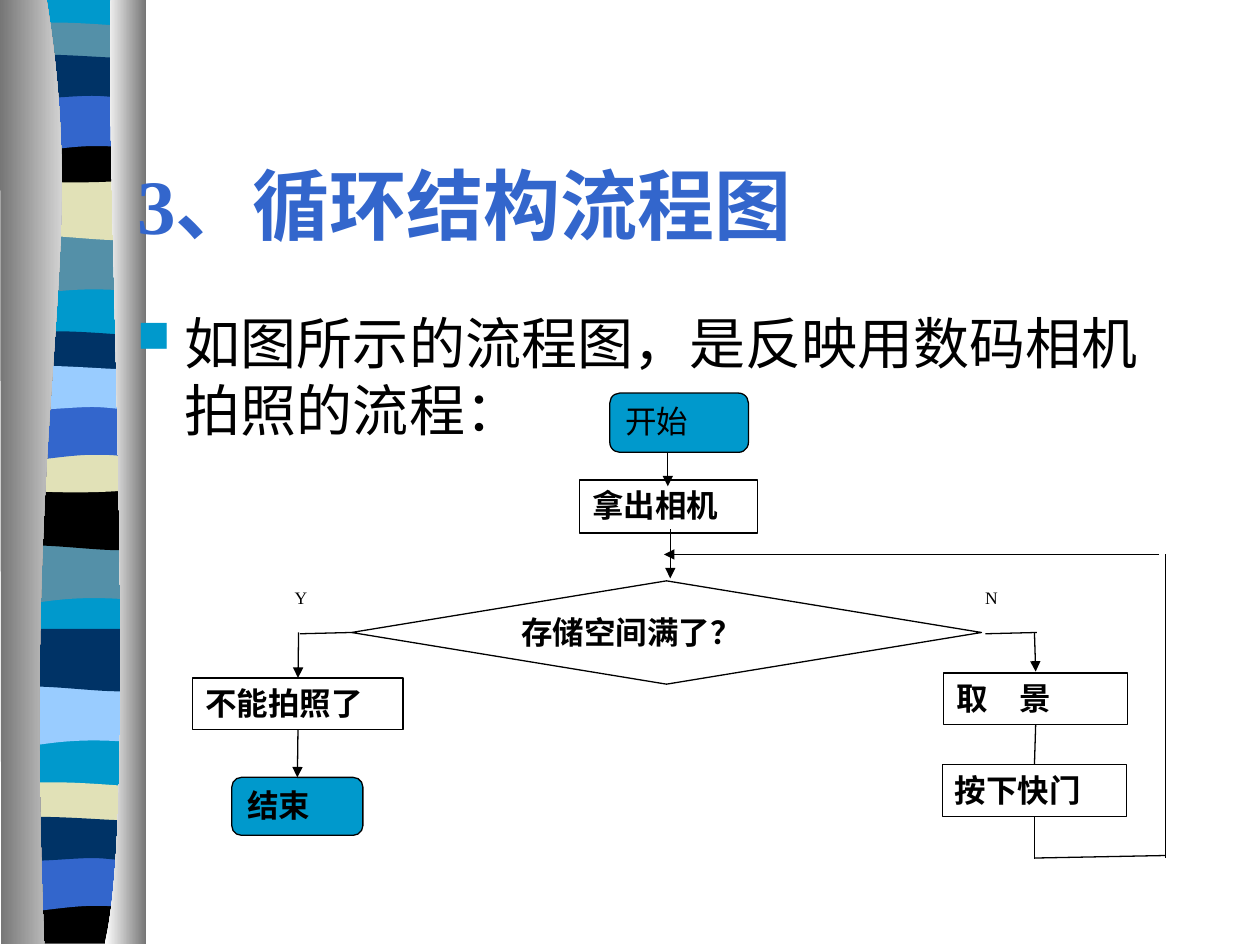
from dataclasses import dataclass

from lxml import etree
from pptx import Presentation
from pptx.dml.color import RGBColor
from pptx.enum.shapes import MSO_CONNECTOR as Conn, MSO_SHAPE as Shape
from pptx.enum.text import MSO_ANCHOR as Anchor, PP_ALIGN as Align
from pptx.oxml.ns import qn
from pptx.util import Inches, Pt


@dataclass(frozen=True)
class Theme:
    latin: str = "Times New Roman"
    body_latin: str = "Arial"
    cjk: str = "Noto Sans CJK SC"
    ink: str = "000000"
    paper: str = "FFFFFF"
    cyan: str = "0099CC"
    teal: str = "5490A8"
    sand: str = "E1E1B7"
    blue: str = "3366CC"
    navy: str = "003366"
    sky: str = "99CCFF"
    steel: str = "767676"
    title_size: int = 44
    body_size: int = 32
    box_size: int = 18
    label_size: int = 10
    line_width: float = 0.75


T = Theme()
TOP, LEFT, BOTTOM, RIGHT = range(4)

# Outlines of the ribbon's bands: a pair is a corner, three pairs are a curve
BANDS = {
    "full": [(1.1, 0), (1.1, 7.47), (0, 7.47), (0, 0)],
    "ripple": [(1.1, 0), (1.1, 0.47), ((0.34, 0.39), (0.19, 0.55), (0, 0.47)), (0, 0)],
    "swell": [(1.1, 0), (1.1, 0.47), ((0.91, 0.55), (0.34, 0.42), (0, 0.47)), (0, 0)],
    "thin": [(1.1, 0.05), (1.1, 0.29), ((0.91, 0.33), (0.19, 0.33), (0, 0.29)), (0, 0.05),
             ((0.07, 0), (0.24, 0.01), (0.42, 0.01)), ((0.61, 0.01), (0.96, 0.04), (1.1, 0.05))],
    "bowl": [(1.1, 0), (1.1, 0.33), ((0.91, 0.38), (0.19, 0.38), (0, 0.33)), (0, 0),
             ((0.68, 0.05), (0.87, 0), (1.1, 0))],
    "arch": [(1.1, 0), (1.1, 0.47), ((0.93, 0.41), (0.86, 0.41), (0.68, 0.41)),
             ((0.49, 0.41), (0.17, 0.47), (0, 0.47)), (0, 0)],
    "wave": [(1.1, 0.06), (1.1, 0.36), ((1.03, 0.41), (0.86, 0.36), (0.68, 0.36)),
             ((0.49, 0.36), (0.12, 0.41), (0, 0.36)), (0, 0.06),
             ((0.16, 0), (0.75, 0.06), (0.93, 0.06)), ((1.11, 0.06), (1.06, 0.06), (1.1, 0.06))],
    "base": [(1.1, 0), (1.1, 0.37), (0, 0.37), (0, 0), ((0.67, 0.05), (0.87, 0), (1.1, 0))],
}

# Bands from back to front: outline, top, colour
RIBBON = [
    ("full", 0, T.cyan), ("ripple", 1.85, T.teal), ("swell", 1.41, T.sand),
    ("thin", 0.17, T.teal), ("bowl", 1.08, T.ink), ("arch", 0.75, T.blue),
    ("wave", 0.4, T.navy), ("ripple", 4.3, T.teal), ("swell", 3.87, T.ink),
    ("thin", 2.62, T.navy), ("bowl", 3.54, T.sand), ("arch", 3.2, T.blue),
    ("wave", 2.87, T.sky), ("ripple", 5.43, T.sky), ("swell", 4.99, T.navy),
    ("thin", 6.2, T.sand), ("base", 7.12, T.ink), ("arch", 6.78, T.blue),
    ("wave", 6.45, T.navy),
]
LEFT_EDGE = [(0.37, 0), ((0.72, 2.17), (0.17, 2.96), (0.35, 7.49)), (0.01, 7.49), (0, 0)]
RIGHT_EDGE = [(0.88, 0), ((0.83, 1.25), (1.11, 6.47), (0.83, 7.49)), (1.16, 7.49), (1.16, 0)]


def rgb(color):
    return RGBColor.from_string(color)


def is_curve(part):
    return isinstance(part[0], tuple)


class SlideBuilder:
    def __init__(self, prs, theme):
        self.theme = theme
        self.slide = prs.slides.add_slide(prs.slide_layouts[5])
        self.shapes = self.slide.shapes

    def style(self, sp, text, size, color, bold=False, latin=None, anchor=Anchor.TOP):
        tf = sp.text_frame
        tf.word_wrap = True
        tf.vertical_anchor = anchor
        tf.text = text
        p = tf.paragraphs[0]
        p.alignment = Align.LEFT
        font = p.runs[0].font
        font.size, font.bold, font.name = Pt(size), bold, latin or self.theme.latin
        font.color.rgb = rgb(color)
        ea = etree.SubElement(p.runs[0]._r.get_or_add_rPr(), qn("a:ea"))
        ea.set("typeface", self.theme.cjk)
        return p

    def outline(self, parts, colors, dx=0, dy=0):
        points = [pt for part in parts for pt in (part if is_curve(part) else [part])]
        points = [(Inches(x + dx), Inches(y + dy)) for x, y in points]
        fb = self.shapes.build_freeform(*points[0])
        fb.add_line_segments(points[1:], close=False)
        sp = fb.convert_to_shape()

        # Gather each curve's three points into one Bezier segment
        path = sp._element.find(".//" + qn("a:path"))
        lines = iter(path.findall(qn("a:lnTo")))
        for part in parts[1:]:
            first = next(lines)
            if is_curve(part):
                first.tag = qn("a:cubicBezTo")
                for line in (next(lines), next(lines)):
                    first.append(line[0])
                    path.remove(line)
        etree.SubElement(path, qn("a:close"))

        sp.shadow.inherit = False
        sp.line.fill.background()
        if len(colors) == 1:
            sp.fill.solid()
            sp.fill.fore_color.rgb = rgb(colors[0])
        else:
            sp.fill.gradient()
            sp.fill.gradient_angle = 0
            for stop, color, at in zip(sp.fill.gradient_stops, colors, (0, 1)):
                stop.color.rgb = rgb(color)
                stop.position = at

    def title(self, text, x, y, w, h):
        sp = self.shapes.title
        sp.left, sp.top, sp.width, sp.height = map(Inches, (x, y, w, h))
        self.style(sp, text, self.theme.title_size, self.theme.blue, True, anchor=Anchor.MIDDLE)
        self.shapes._spTree.append(sp._element)  # bring in front of the ribbon

    def bullet(self, text, x, y, w, h):
        sp = self.shapes.add_textbox(*map(Inches, (x, y, w, h)))
        p = self.style(sp, text, self.theme.body_size, self.theme.ink,
                       latin=self.theme.body_latin)
        p.space_before = Pt(8)
        pPr = p._p.get_or_add_pPr()
        pPr.set("marL", str(Inches(0.38)))
        pPr.set("indent", str(-Inches(0.38)))
        color = etree.SubElement(pPr, qn("a:buClr"))
        etree.SubElement(color, qn("a:srgbClr")).set("val", self.theme.cyan)
        etree.SubElement(pPr, qn("a:buSzPct")).set("val", "80000")
        etree.SubElement(pPr, qn("a:buChar")).set("char", "■")

    def box(self, text, x, y, w, h, kind=Shape.RECTANGLE, fill=T.paper, bold=True,
            size=T.box_size, border=True, latin=None):
        sp = self.shapes.add_shape(kind, *map(Inches, (x, y, w, h)))
        sp.shadow.inherit = False
        sp.fill.solid()
        sp.fill.fore_color.rgb = rgb(fill)
        if border:
            sp.line.color.rgb = rgb(self.theme.ink)
            sp.line.width = Pt(self.theme.line_width)
        else:
            sp.line.fill.background()
        self.style(sp, text, size, self.theme.ink, bold, latin)
        return sp

    def link(self, begin, end, arrow=False):
        """Join two ends; each is a point or a (shape, side) pair."""
        cx = self.shapes.add_connector(Conn.STRAIGHT, 0, 0, 0, 0)
        if isinstance(begin[0], (int, float)):
            cx.begin_x, cx.begin_y = map(Inches, begin)
        else:
            cx.begin_connect(*begin)
        if isinstance(end[0], (int, float)):
            cx.end_x, cx.end_y = map(Inches, end)
        else:
            cx.end_connect(*end)
        cx.line.color.rgb = rgb(self.theme.ink)
        cx.line.width = Pt(self.theme.line_width)
        if arrow:
            etree.SubElement(cx.line._get_or_add_ln(), qn("a:tailEnd")).set("type", "triangle")
        etree.SubElement(cx._element.spPr, qn("a:effectLst"))


def main():
    prs = Presentation()
    prs.slide_width, prs.slide_height = Inches(10), Inches(7.5)
    s = SlideBuilder(prs, T)

    # Ribbon between two metallic edges
    for band, top, color in RIBBON:
        s.outline(BANDS[band], [color], 0.05, top)
    s.outline(LEFT_EDGE, [T.steel, T.paper])
    s.outline(RIGHT_EDGE, [T.paper, T.steel])

    # Flowchart steps
    for label, x in (("Y", 2.24), ("N", 7.72)):
        s.box(label, x, 4.61, 0.65, 0.37, bold=False, size=T.label_size, border=False)
    rounded = Shape.FLOWCHART_ALTERNATE_PROCESS
    s.box("拿出相机", 4.6, 3.81, 1.41, 0.42)
    full = s.box("存储空间满了？", 2.79, 4.61, 5, 0.82, Shape.FLOWCHART_DECISION)
    stop = s.box("不能拍照了", 1.53, 5.38, 1.67, 0.41)
    end = s.box("结束", 1.84, 6.17, 1.04, 0.46, rounded, T.cyan)
    frame = s.box("取　景", 7.49, 5.34, 1.46, 0.41, latin=T.cjk)
    press = s.box("按下快门", 7.48, 6.07, 1.46, 0.41)

    # Main path and the two branches
    s.link((5.3, 3.43), (5.3, 3.86), arrow=True)
    s.link((5.32, 4.2), (5.32, 4.59), arrow=True)
    s.link((full, LEFT), (2.38, 5.03))
    s.link((2.37, 5.02), (stop, TOP), arrow=True)
    s.link((7.82, 5.03), (8.23, 5.02))
    s.link((8.21, 5.02), (8.22, 5.33), arrow=True)
    s.link((stop, BOTTOM), (end, TOP), arrow=True)
    s.link((frame, BOTTOM), (press, TOP))

    # Loop back to the decision
    s.link((press, BOTTOM), (8.21, 6.82))
    s.link((8.21, 6.81), (9.25, 6.79))
    s.link((9.25, 4.4), (9.25, 6.81))
    s.link((9.2, 4.4), (5.27, 4.4), arrow=True)

    # Start step covers the upper end of its arrow
    s.box("开始", 4.84, 3.12, 1.1, 0.47, rounded, T.cyan, bold=False)

    # Heading and lead text
    s.title("3、循环结构流程图", 0.99, 0.99, 8.5, 1.25)
    s.bullet("如图所示的流程图，是反映用数码相机拍照的流程：", 0.99, 2.4, 8.5, 4.42)

    prs.save("out.pptx")


if __name__ == "__main__":
    main()
